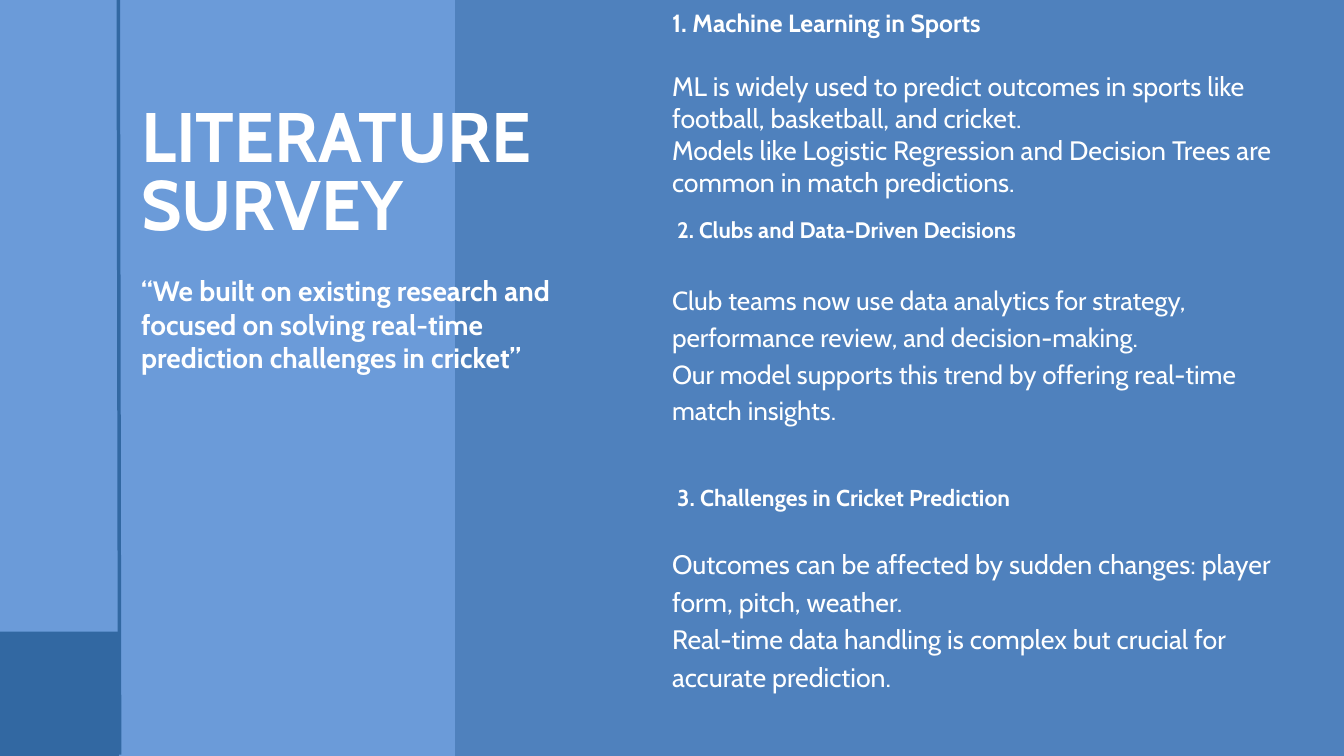
from dataclasses import dataclass

from lxml import etree
from pptx import Presentation
from pptx.dml.color import RGBColor
from pptx.enum.shapes import MSO_CONNECTOR, MSO_SHAPE
from pptx.enum.text import MSO_ANCHOR, MSO_AUTO_SIZE, PP_ALIGN
from pptx.oxml.ns import qn
from pptx.slide import Slide
from pptx.text.text import TextFrame
from pptx.util import Inches, Pt

RECT = MSO_SHAPE.RECTANGLE
LINE = MSO_CONNECTOR.STRAIGHT
TOP = MSO_ANCHOR.TOP
LEFT = PP_ALIGN.LEFT
NO_FIT = MSO_AUTO_SIZE.NONE

BLUE = RGBColor(0x4F, 0x81, 0xBD)
LIGHT = RGBColor(0x6B, 0x9B, 0xD9)
DARK = RGBColor(0x32, 0x68, 0xA2)
WHITE = RGBColor(0xFF, 0xFF, 0xFF)
FONT = "Cabin"


@dataclass
class Para:
    text: str
    size: float
    pitch: float  # exact line spacing in points
    bold: bool = False
    after: float = 0


@dataclass
class Topic:
    top: float
    height: float
    head: Para
    body_size: float
    body_pitch: float
    body: tuple[str, ...]


TOPICS = [
    Topic(0.12, 3.3, Para("1. Machine Learning in Sports", 26.6, 31.9, True, 34.3), 28.6, 34.3, (
        "ML is widely used to predict outcomes in sports like football, basketball, and cricket.",
        "Models like Logistic Regression and Decision Trees are common in match predictions.")),
    Topic(3.15, 3.2, Para(" 2. Clubs and Data-Driven Decisions", 24, 33.6, True, 39.2), 28, 39.2, (
        "Club teams now use data analytics for strategy, performance review, and decision-making.",
        "Our model supports this trend by offering real-time match insights.")),
    Topic(7.12, 3.21, Para(" 3. Challenges in Cricket Prediction", 24.6, 34.5, True, 34.5), 28.6, 40.1, (
        "Outcomes can be affected by sudden changes: player form, pitch, weather.",
        "Real-time data handling is complex but crucial for accurate prediction.")),
]


def fill_text(frame: TextFrame, paras: list[Para]) -> None:
    frame.word_wrap = True
    frame.auto_size = NO_FIT
    frame.vertical_anchor = TOP
    frame.margin_left = frame.margin_right = 0
    frame.margin_top = frame.margin_bottom = 0
    frame.text = "\n".join(para.text for para in paras)
    for line, para in zip(frame.paragraphs, paras):
        line.alignment = LEFT
        line.line_spacing = Pt(para.pitch)
        line.space_before = Pt(0)
        line.space_after = Pt(para.after)
        for run in line.runs:
            run.font.name = FONT
            run.font.size = Pt(para.size)
            run.font.bold = para.bold
            run.font.color.rgb = WHITE


def add_text(slide: Slide, left: float, top: float, width: float, height: float,
             paras: list[Para]) -> None:
    box = slide.shapes.add_textbox(Inches(left), Inches(top), Inches(width), Inches(height))
    fill_text(box.text_frame, paras)


def add_block(slide: Slide, left: float, top: float, width: float, height: float,
              color: RGBColor) -> None:
    block = slide.shapes.add_shape(RECT, Inches(left), Inches(top), Inches(width), Inches(height))
    block.shadow.inherit = False
    block.fill.solid()
    block.fill.fore_color.rgb = color
    block.line.fill.background()


def add_title(slide: Slide) -> None:
    title = slide.shapes.title
    title.left, title.top = Inches(2.1), Inches(1.61)
    title.width, title.height = Inches(6.89), Inches(2.24)
    fill_text(title.text_frame, [Para("LITERATURE SURVEY", 75, 72.8, True)])
    # Bring the title in front of the side panel
    slide.shapes._spTree.append(title._element)


def add_rule(slide: Slide) -> None:
    rule = slide.shapes.add_connector(LINE, Inches(1.76), Inches(-0.02), Inches(1.78), Inches(11.23))
    rule.line.color.rgb = DARK
    rule.line.width = Pt(3.75)
    etree.SubElement(rule._element.spPr, qn("a:effectLst"))


def main() -> None:
    deck = Presentation()
    deck.slide_width, deck.slide_height = Inches(20), Inches(11.25)
    slide = deck.slides.add_slide(deck.slide_layouts[5])
    slide.background.fill.solid()
    slide.background.fill.fore_color.rgb = BLUE

    # Survey topics on the right
    for topic in TOPICS:
        body = [Para(text, topic.body_size, topic.body_pitch) for text in topic.body]
        add_text(slide, 10, topic.top, 9.08, topic.height, [topic.head, *body])

    # Side panel with title and quote
    add_block(slide, -5, 0, 11.77, 11.25, LIGHT)
    add_title(slide)
    quote = "“We built on existing research and focused on solving real-time prediction challenges in cricket”"
    add_text(slide, 2.1, 4.07, 6.89, 1.55, [Para(quote, 30, 36, True)])

    # Corner block and vertical rule
    add_block(slide, 0, 9.4, 1.77, 1.85, DARK)
    add_rule(slide)

    deck.save("out.pptx")


if __name__ == "__main__":
    main()
